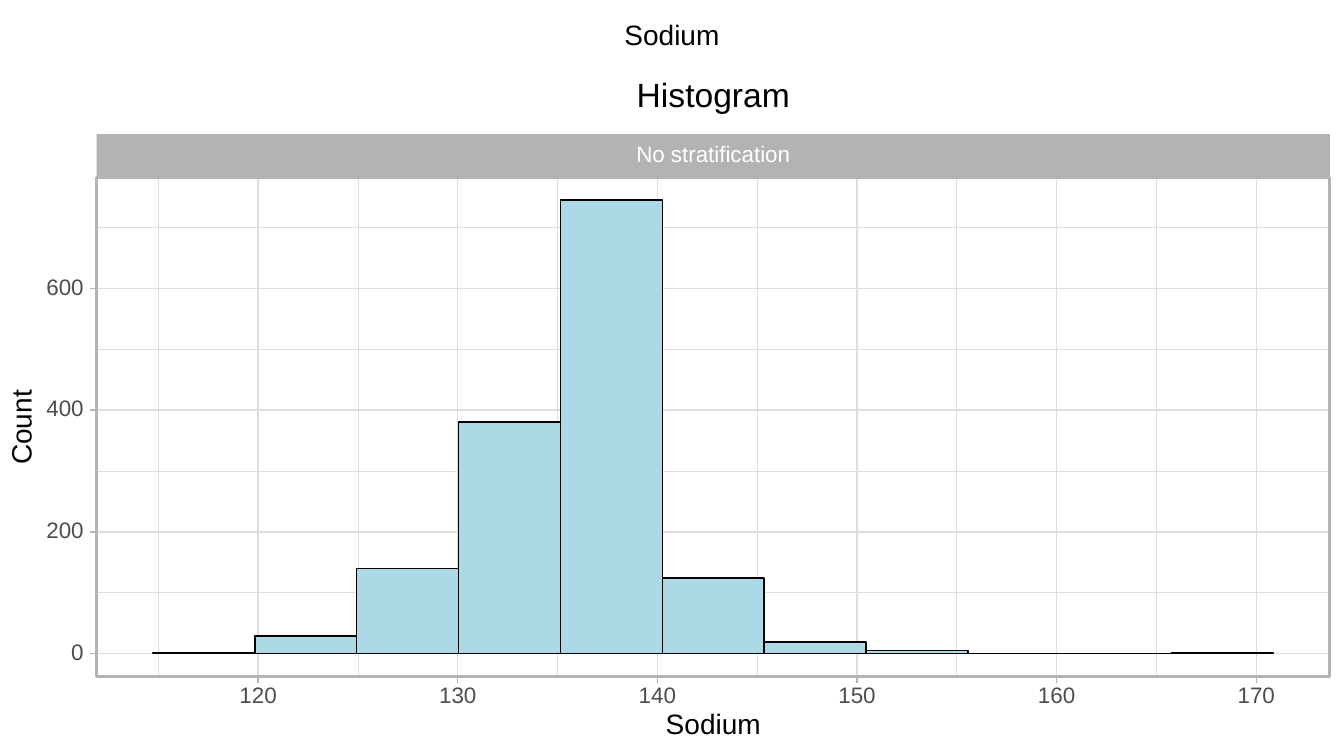
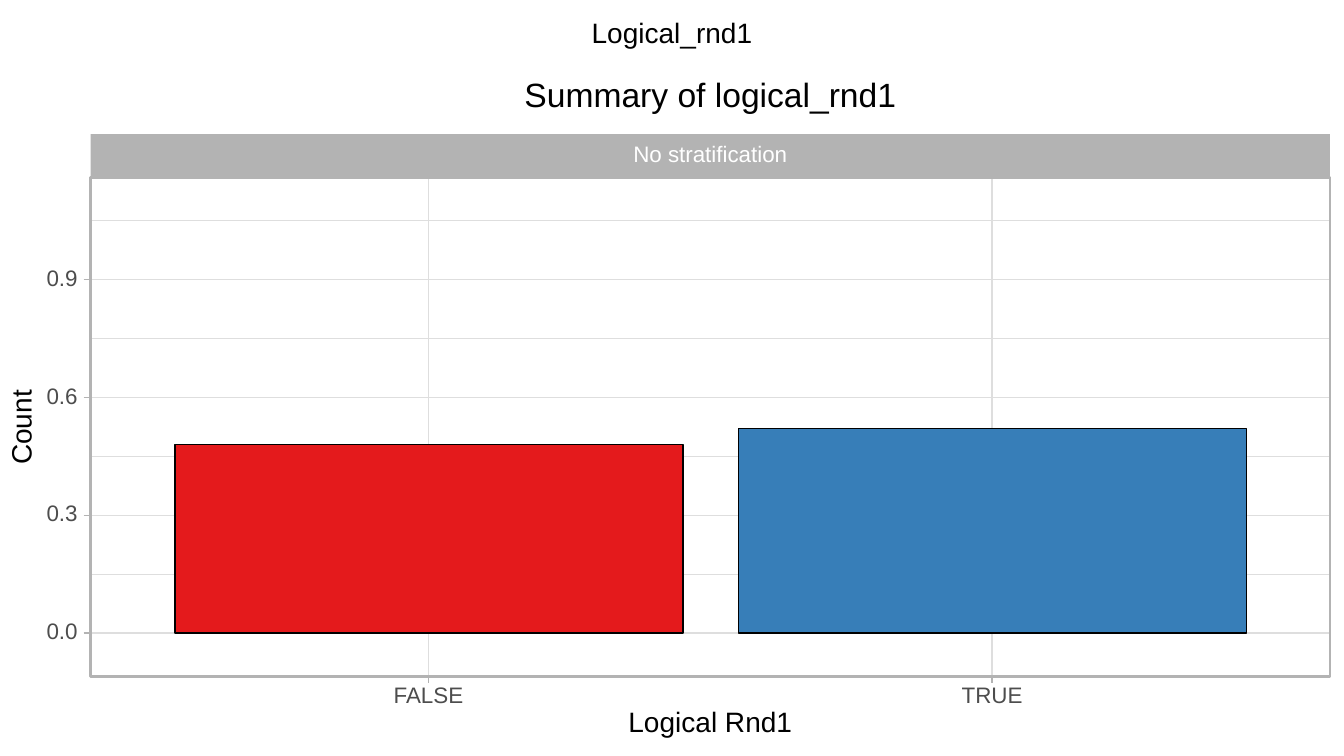
"""Build two slides with distribution charts for sodium and logical_rnd1."""
from lxml import etree
from pptx import Presentation
from pptx.chart import data as cd
from pptx.dml.color import RGBColor
from pptx.enum import chart as ch, shapes, text
from pptx.oxml import parse_xml
from pptx.oxml import ns
from pptx.util import Inches, Pt

BLACK = RGBColor(0x00, 0x00, 0x00)
WHITE = RGBColor(0xFF, 0xFF, 0xFF)
LABEL_GREY = RGBColor(0x4D, 0x4D, 0x4D)
FRAME_GREY = RGBColor(0xB3, 0xB3, 0xB3)
GRID_GREY = RGBColor(0xDE, 0xDE, 0xDE)
LIGHT_BLUE = RGBColor(0xAD, 0xD8, 0xE6)
RED = RGBColor(0xE4, 0x1A, 0x1C)
BLUE = RGBColor(0x37, 0x7E, 0xB8)

STRIP_TOP, TOP, BOTTOM, RIGHT = 1.33, 1.76, 6.71, 13.19
TICK = 0.07
THIN, MEDIUM, THICK = 0.48, 0.97, 1.94
CENTER, ALIGN_RIGHT = text.PP_ALIGN.CENTER, text.PP_ALIGN.RIGHT
FRAME_FORMAT = {"margin_left": 0, "margin_top": 0, "margin_right": 0,
                "margin_bottom": 0, "word_wrap": False,
                "vertical_anchor": text.MSO_ANCHOR.MIDDLE,
                "auto_size": text.MSO_AUTO_SIZE.NONE}

SLIDES = [
    {"title": "Sodium", "title_y": 0.37, "heading": "Histogram",
     "axis": "Sodium", "axis_y": 7.2, "left": 0.96,
     "x_labels": ["120", "130", "140", "150", "160", "170"],
     "x_first": 2.56, "x_step": 1.98, "x_minor": True,
     "y_step": 200, "y_format": "{:.0f}", "y_min": -37.25, "y_max": 782.25,
     "bars_left": 1.51, "bars_width": 11.13, "gap": 0,
     "categories": [f"{114.7 + 5.1 * i:.1f}–{119.8 + 5.1 * i:.1f}" for i in range(11)],
     "values": [1, 29, 140, 380, 745, 124, 19, 5, 0, 0, 1],
     "colors": [LIGHT_BLUE]},
    {"title": "Logical_rnd1", "title_y": 0.35, "heading": "Summary of logical_rnd1",
     "axis": "Logical Rnd1", "axis_y": 7.18, "left": 0.9,
     "x_labels": ["FALSE", "TRUE"],
     "x_first": 4.25, "x_step": 5.59, "x_minor": False,
     "y_step": 0.3, "y_format": "{:.1f}", "y_min": -0.11, "y_max": 1.16,
     "bars_left": 1.46, "bars_width": 11.18, "gap": 11,
     "categories": ["FALSE", "TRUE"], "values": [0.48, 0.52],
     "colors": [RED, BLUE]},
]


def write_text(sp, words, x, y, w, size, color, align=CENTER):
    """Place a one-line text around the centre height y and format it."""
    h = size / 72
    sp.left, sp.top, sp.width, sp.height = map(Inches, (x, y - h / 2, w, h))
    tf = sp.text_frame
    for name, value in FRAME_FORMAT.items():
        setattr(tf, name, value)
    p = tf.paragraphs[0]
    p.alignment, p.line_spacing = align, Pt(size)
    r = p.add_run()
    r.text = words
    for name, value in {"name": "Arial", "size": Pt(size), "bold": False}.items():
        setattr(r.font, name, value)
    r.font.color.rgb = color


def add_line(s, x1, y1, x2, y2, color, width):
    """Draw a straight line without a shadow."""
    line = s.shapes.add_connector(shapes.MSO_CONNECTOR.STRAIGHT,
                                  *map(Inches, (x1, y1, x2, y2)))
    line.line.color.rgb = color
    line.line.width = Pt(width)
    etree.SubElement(line._element.spPr, ns.qn("a:effectLst"))


prs = Presentation()
prs.slide_width, prs.slide_height = Inches(13.33), Inches(7.5)

for d in SLIDES:
    s = prs.slides.add_slide(prs.slide_layouts[5])
    left, width = d["left"], RIGHT - d["left"]
    unit = (BOTTOM - TOP) / (d["y_max"] - d["y_min"])
    zero, y_gap = BOTTOM + d["y_min"] * unit, d["y_step"] * unit
    xs = [d["x_first"] + d["x_step"] * i for i in range(len(d["x_labels"]))]
    ys = [zero - y_gap * i for i in range(4)]

    write_text(s.shapes.title, d["title"], 0, d["title_y"], 13.33, 20, BLACK)

    for y in ys:
        add_line(s, left, y - y_gap / 2, RIGHT, y - y_gap / 2, GRID_GREY, THIN)
        add_line(s, left, y, RIGHT, y, GRID_GREY, MEDIUM)
        add_line(s, left - TICK, y, left, y, FRAME_GREY, MEDIUM)
    for x in xs:
        if d["x_minor"]:
            minor = x - d["x_step"] / 2
            add_line(s, minor, TOP, minor, BOTTOM, GRID_GREY, THIN)
        add_line(s, x, TOP, x, BOTTOM, GRID_GREY, MEDIUM)
        add_line(s, x, BOTTOM, x, BOTTOM + TICK, FRAME_GREY, MEDIUM)

    chart_data = cd.CategoryChartData()
    chart_data.categories = d["categories"]
    chart_data.add_series("Count", d["values"])
    chart = s.shapes.add_chart(
        ch.XL_CHART_TYPE.COLUMN_CLUSTERED,
        *map(Inches, (d["bars_left"], TOP, d["bars_width"], BOTTOM - TOP)),
        chart_data).chart
    chart.has_title = chart.has_legend = False
    chart.font.name, chart.font.size = "Arial", Pt(16)
    chart.font.color.rgb = LABEL_GREY
    axis_format = {"visible": False, "has_major_gridlines": False}
    for axis in (chart.category_axis, chart.value_axis):
        for name, value in axis_format.items():
            setattr(axis, name, value)
    chart.value_axis.minimum_scale = d["y_min"]
    chart.value_axis.maximum_scale = d["y_max"]
    plot = chart.plots[0]
    plot.gap_width, plot.vary_by_categories = d["gap"], False
    for i in range(len(d["values"])):
        bar = plot.series[0].points[i].format
        bar.fill.solid()
        bar.fill.fore_color.rgb = d["colors"][i % len(d["colors"])]
        bar.line.color.rgb = BLACK
        bar.line.width = Pt(1.07)

    plot_area = chart.element.find(".//" + ns.qn("c:plotArea"))
    for layout in plot_area.findall(ns.qn("c:layout")):
        plot_area.remove(layout)
    plot_area.insert(0, parse_xml(
        f'<c:layout {ns.nsdecls("c")}><c:manualLayout><c:layoutTarget val="inner"/>'
        '<c:xMode val="edge"/><c:yMode val="edge"/><c:x val="0"/><c:y val="0"/>'
        '<c:w val="1"/><c:h val="1"/></c:manualLayout></c:layout>'))
    chart.element.find(ns.qn("c:chart")).addnext(parse_xml(
        f'<c:spPr {ns.nsdecls("c", "a")}><a:noFill/><a:ln><a:noFill/></a:ln></c:spPr>'))

    for top, bottom in ((TOP, BOTTOM), (STRIP_TOP, TOP)):
        sp = s.shapes.add_shape(shapes.MSO_SHAPE.RECTANGLE,
                                *map(Inches, (left, top, width, bottom - top)))
        sp.shadow.inherit = False
        if top == TOP:
            sp.fill.background()
            sp.line.color.rgb = FRAME_GREY
            sp.line.width = Pt(THICK)
        else:
            sp.fill.solid()
            sp.fill.fore_color.rgb = FRAME_GREY
            sp.line.fill.background()
    write_text(sp, "No stratification", left, 1.54, width, 16, WHITE)
    sp.top, sp.height = Inches(STRIP_TOP), Inches(TOP - STRIP_TOP)

    labels = [(d["heading"], left, 0.97, width, 24, BLACK),
              (d["axis"], left, d["axis_y"], width, 20, BLACK)]
    labels += [(words, x - 0.5, 6.91, 1, 16, LABEL_GREY)
               for words, x in zip(d["x_labels"], xs)]
    labels += [(d["y_format"].format(d["y_step"] * i), left - 0.63, y, 0.5, 16,
                LABEL_GREY, ALIGN_RIGHT) for i, y in enumerate(ys)]
    for label in labels:
        write_text(s.shapes.add_textbox(0, 0, 0, 0), *label)

    sp = s.shapes.add_textbox(0, 0, 0, 0)
    write_text(sp, "Count", -0.27, 4.24, 1, 20, BLACK)
    sp.rotation = 270

prs.save("out.pptx")
